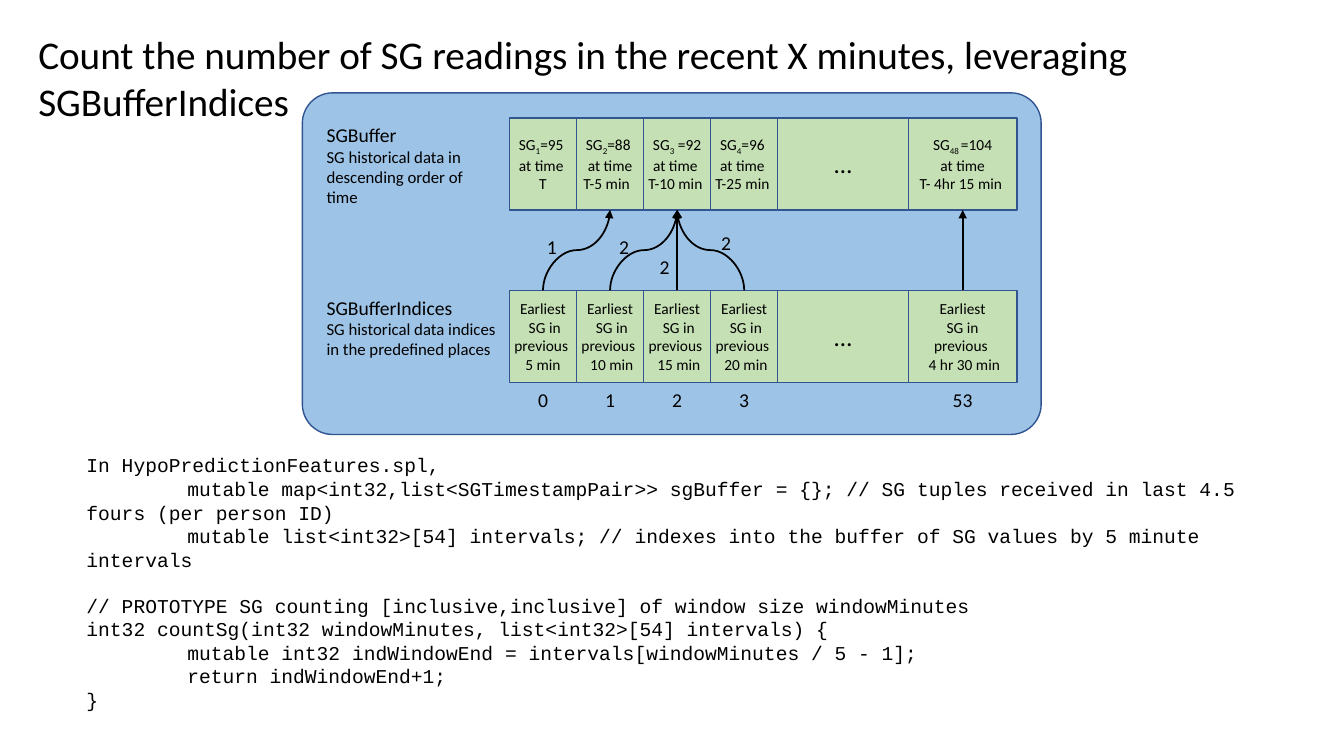
from lxml import etree
from pptx import Presentation
from pptx.dml.color import RGBColor
from pptx.enum.shapes import MSO_CONNECTOR, MSO_SHAPE
from pptx.enum.text import MSO_ANCHOR, MSO_AUTO_SIZE, PP_ALIGN
from pptx.oxml.ns import qn
from pptx.util import Cm, Pt

CURVE = MSO_CONNECTOR.CURVE
ROUNDED, RECTANGLE = MSO_SHAPE.ROUNDED_RECTANGLE, MSO_SHAPE.RECTANGLE
LEFT, CENTER = PP_ALIGN.LEFT, PP_ALIGN.CENTER
TOP, MIDDLE = MSO_ANCHOR.TOP, MSO_ANCHOR.MIDDLE
BLACK, BLUE, GREEN, OUTLINE = "000000", "9DC3E6", "C5E0B4", "325491"


def paint(shape, fill):
    """Give a shape a flat fill and the common outline."""
    shape.shadow.inherit = False
    shape.fill.solid()
    shape.fill.fore_color.rgb = RGBColor.from_string(fill)
    shape.line.color.rgb = RGBColor.from_string(OUTLINE)
    shape.line.width = Pt(1)


def write_lines(shape, lines, alignment=LEFT, anchor=TOP, font="Calibri"):
    """Write (size, text) lines as paragraphs; _text_ becomes a subscript."""
    frame = shape.text_frame
    frame.word_wrap = True
    frame.auto_size = MSO_AUTO_SIZE.NONE
    frame.vertical_anchor = anchor
    for number, (size, text) in enumerate(lines):
        paragraph = frame.add_paragraph() if number else frame.paragraphs[0]
        paragraph.alignment = alignment
        for position, piece in enumerate(text.split("_")):
            run = paragraph.add_run()
            run.text = piece
            run.font.size = Pt(size)
            run.font.name = font
            run.font.color.rgb = RGBColor.from_string(BLACK)
            if position % 2:
                run._r.get_or_add_rPr().set("baseline", "-25000")


presentation = Presentation()
presentation.slide_width, presentation.slide_height = Cm(33.87), Cm(19.05)
slide = presentation.slides.add_slide(presentation.slide_layouts[5])

title = slide.shapes.title
title.left, title.top, title.width, title.height = Cm(0.71), Cm(0.64), Cm(32.33), Cm(2.64)
write_lines(title, [(28, "Count the number of SG readings in the recent X minutes, "
                         "leveraging SGBufferIndices")])

# Diagram panel with the two row descriptions
diagram = slide.shapes.add_group_shape().shapes
panel = diagram.add_shape(ROUNDED, Cm(7.62), Cm(2.34), Cm(18.62), Cm(8.61))
panel.adjustments[0] = 0.089
paint(panel, BLUE)

descriptions = [
    (2.97, 4.4, "SGBuffer", "SG historical data in descending order of time"),
    (7.32, 4.83, "SGBufferIndices", "SG historical data indices in the predefined places"),
]
for top, width, name, detail in descriptions:
    description = diagram.add_textbox(Cm(7.98), Cm(top), Cm(width), Cm(2.2))
    write_lines(description, [(14, name), (12, detail)])

# Both rows of cells share the same columns: four narrow, a gap and the last
narrow = 1.69
columns = [(12.84 + number * narrow, narrow) for number in range(4)]
columns += [(19.6, 3.29), (22.89, 2.74)]
centers = [left + width / 2 for left, width in columns]
buffer_top, indices_top, cell_height = 2.97, 7.32, 2.32

buffer_cells = [
    ["SG_1_=95 ", "at time ", "T"],
    ["SG_2_=88 ", "at time", "T-5 min  "],
    ["SG_3_ =92", "at time ", "T-10 min "],
    ["SG_4_=96 ", "at time ", "T-25 min "],
    ["…"],
    ["SG_48 _=104", "at time", "T- 4hr 15 min "],
]
indices_cells = [["Earliest", " SG in previous ", period]
                 for period in ("5 min", " 10 min", " 15 min", " 20 min")]
indices_cells += [["…"], ["Earliest", " SG in ", "previous ", " 4 hr 30 min"]]

for top, row in ((buffer_top, buffer_cells), (indices_top, indices_cells)):
    for (left, width), texts in zip(columns, row):
        cell = diagram.add_shape(RECTANGLE, Cm(left), Cm(top), Cm(width), Cm(cell_height))
        paint(cell, GREEN)
        cell.text_frame.margin_left = cell.text_frame.margin_right = 0
        size = 18 if texts == ["…"] else 11
        write_lines(cell, [(size, text) for text in texts], CENTER, MIDDLE)

# Arrows rise from an index cell to a buffer cell: curves turned a quarter
gap_bottom, gap_top = indices_top, buffer_top + cell_height
half_rise = (gap_bottom - gap_top) / 2
middle_y = (gap_bottom + gap_top) / 2
for source, target in ((0, 1), (1, 2), (2, 2), (3, 2), (5, 5)):
    shift = centers[target] - centers[source]
    middle_x = (centers[source] + centers[target]) / 2
    side = half_rise if shift >= 0 else -half_rise
    half_shift = abs(shift) / 2
    arrow = diagram.add_connector(
        CURVE, Cm(middle_x + side), Cm(middle_y + half_shift),
        Cm(middle_x - side), Cm(middle_y - half_shift))
    arrow.line.color.rgb = RGBColor.from_string(BLACK)
    arrow.line.width = Pt(1.25)
    properties = arrow._element.spPr
    degrees = 90 if shift >= 0 else 270
    properties.find(qn("a:xfrm")).set("rot", str(degrees * 60000))
    etree.SubElement(properties.find(qn("a:ln")), qn("a:tailEnd"), type="triangle")
    etree.SubElement(properties, qn("a:effectLst"))

# Index numbers below the cells, then the values beside the arrows
for column, number in ((0, "0"), (1, "1"), (2, "2"), (3, "3"), (5, "53")):
    left, width = columns[column]
    label = diagram.add_textbox(Cm(left), Cm(9.64), Cm(width), Cm(0.86))
    write_lines(label, [(14, number)], CENTER)

for left, top, value in ((13.06, 5.79, "1"), (14.88, 5.79, "2"),
                         (15.9, 6.3, "2"), (17.45, 5.69, "2")):
    label = slide.shapes.add_textbox(Cm(left), Cm(top), Cm(1.7), Cm(0.86))
    write_lines(label, [(14, value)], CENTER)

# Code listing
code_lines = [
    "In HypoPredictionFeatures.spl,",
    "mutable map<int32,list<SGTimestampPair>> sgBuffer = {}; "
    "// SG tuples received in last 4.5 fours (per person ID) ",
    "mutable list<int32>[54] intervals; "
    "// indexes into the buffer of SG values by 5 minute intervals",
    "// PROTOTYPE SG counting [inclusive,inclusive] of window size windowMinutes",
    "int32 countSg(int32 windowMinutes, list<int32>[54] intervals) {",
    "mutable int32 indWindowEnd = intervals[windowMinutes / 5 - 1];",
    "return indWindowEnd+1;",
    "}",
]
code = slide.shapes.add_textbox(Cm(1.93), Cm(11.3), Cm(30.02), Cm(6.83))
write_lines(code, [(14, line) for line in code_lines], font="Courier New")
for paragraph in code.text_frame.paragraphs:
    if paragraph.text.startswith(("mutable", "return")):
        paragraph._p.get_or_add_pPr().set("indent", str(Cm(2.54)))
    if paragraph.text.startswith("//"):
        paragraph.space_before = Pt(16)

presentation.save("out.pptx")
